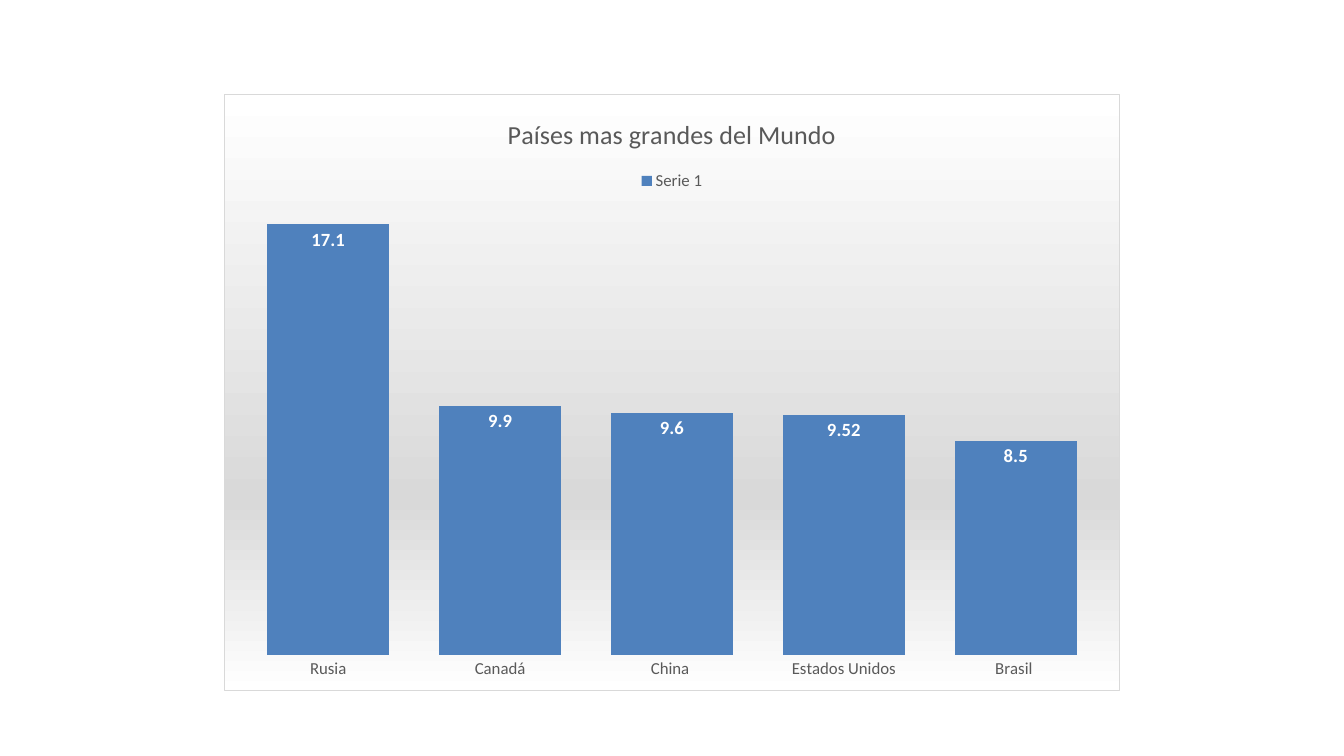
from dataclasses import dataclass

from lxml.etree import SubElement
from pptx import Presentation
from pptx.chart.data import CategoryChartData
from pptx.dml.color import RGBColor
from pptx.enum.chart import XL_CHART_TYPE, XL_LABEL_POSITION, XL_LEGEND_POSITION, XL_TICK_MARK
from pptx.oxml import parse_xml
from pptx.oxml.ns import nsdecls, qn
from pptx.util import Inches, Pt


@dataclass(frozen=True)
class Theme:
    font: str = "Calibri"
    text: str = "595959"
    label: str = "FFFFFF"
    border: str = "D9D9D9"
    backdrop: tuple = ((0, "FFFFFF"), (68, "D9D9D9"), (100, "FFFFFF"))
    columns: tuple = ((0, "4472C4"), (100, "355FA9"))
    title_size: float = 18.6
    label_size: float = 13.3
    text_size: float = 12


THEME = Theme()
COUNTRIES = {"Rusia": 17.1, "Canadá": 9.9, "China ": 9.6, "Estados Unidos": 9.52, "Brasil ": 8.5}
PLOT_AREA = {"x": 0.02, "y": 0.18, "w": 0.96, "h": 0.76}


def apply_format(target, values):
    for attribute, value in values.items():
        setattr(target, attribute, value)


def style_font(font, size, color, bold=False):
    apply_format(font, {"name": THEME.font, "size": Pt(size), "bold": bold})
    font.color.rgb = RGBColor.from_string(color)


def vertical_gradient(stops):
    stop_list = "".join(
        f'<a:gs pos="{position * 1000}"><a:srgbClr val="{color}"/></a:gs>'
        for position, color in stops
    )
    return parse_xml(
        f'<a:gradFill {nsdecls("a")} rotWithShape="1"><a:gsLst>{stop_list}</a:gsLst>'
        '<a:lin ang="5400000" scaled="0"/></a:gradFill>'
    )


def style_backdrop(chart):
    backdrop = parse_xml(
        f'<c:spPr {nsdecls("c", "a")}><a:ln w="{Pt(0.75)}"><a:solidFill>'
        f'<a:srgbClr val="{THEME.border}"/></a:solidFill></a:ln></c:spPr>'
    )
    backdrop.insert(0, vertical_gradient(THEME.backdrop))
    chart.element.find(qn("c:chart")).addnext(backdrop)


def place_plot(chart):
    plot_area = chart.element.find(".//" + qn("c:plotArea"))
    layout = plot_area.find(qn("c:layout"))
    if layout is None:
        layout = parse_xml(f'<c:layout {nsdecls("c")}/>')
        plot_area.insert(0, layout)
    manual = SubElement(layout, qn("c:manualLayout"))
    settings = {"layoutTarget": "inner", "xMode": "edge", "yMode": "edge", **PLOT_AREA}
    for tag, value in settings.items():
        SubElement(manual, qn(f"c:{tag}")).set("val", str(value))


def style_heading(chart):
    chart.has_title = True
    heading = chart.chart_title.text_frame
    heading.text = "Países mas grandes del Mundo"
    style_font(heading.paragraphs[0].runs[0].font, THEME.title_size, THEME.text)
    chart.has_legend = True
    apply_format(chart.legend, {"position": XL_LEGEND_POSITION.TOP, "include_in_layout": False})
    style_font(chart.legend.font, THEME.text_size, THEME.text)


def style_axes(chart):
    apply_format(chart.value_axis, {
        "visible": False,
        "has_major_gridlines": False,
        "minimum_scale": 0,
        "maximum_scale": 18,
    })
    countries = chart.category_axis
    apply_format(countries, {
        "major_tick_mark": XL_TICK_MARK.NONE,
        "minor_tick_mark": XL_TICK_MARK.NONE,
    })
    countries.format.line.fill.background()
    style_font(countries.tick_labels.font, THEME.text_size, THEME.text)


def style_columns(chart):
    columns = chart.plots[0]
    apply_format(columns, {"gap_width": 41, "vary_by_categories": False, "has_data_labels": True})
    areas = columns.series[0]
    areas.invert_if_negative = False
    areas.format.line.fill.background()
    areas.format.element.insert(0, vertical_gradient(THEME.columns)) if hasattr(
        areas.format, "element"
    ) else areas._element.get_or_add_spPr().insert(0, vertical_gradient(THEME.columns))
    apply_format(columns.data_labels, {
        "show_value": True,
        "position": XL_LABEL_POSITION.INSIDE_END,
    })
    style_font(columns.data_labels.font, THEME.label_size, THEME.label, bold=True)


def add_country_chart(slide):
    country_data = CategoryChartData()
    country_data.categories = COUNTRIES.keys()
    country_data.add_series("Serie 1", COUNTRIES.values())
    chart = slide.shapes.add_chart(
        XL_CHART_TYPE.COLUMN_CLUSTERED,
        Inches(2.22), Inches(0.93), Inches(8.89), Inches(5.93),
        country_data,
    ).chart
    style_font(chart.font, THEME.text_size, THEME.text)
    for style in (style_backdrop, place_plot, style_heading, style_axes, style_columns):
        style(chart)


def main():
    presentation = Presentation()
    apply_format(presentation, {"slide_width": Inches(13.33), "slide_height": Inches(7.5)})
    add_country_chart(presentation.slides.add_slide(presentation.slide_layouts[6]))
    presentation.save("out.pptx")


if __name__ == "__main__":
    main()
